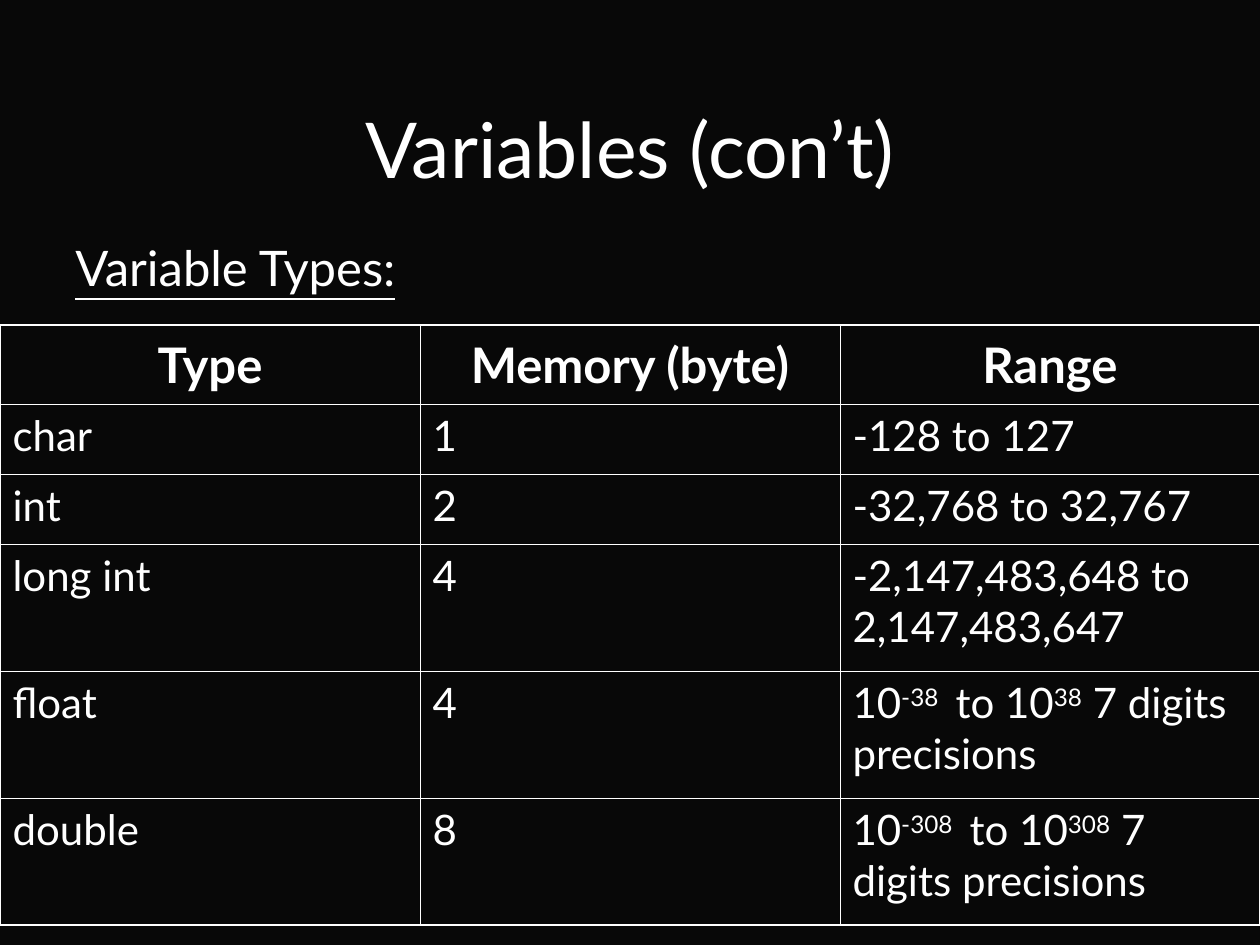
"""Build the slide of variable types with their memory sizes and ranges."""
from dataclasses import dataclass

from lxml import etree
from pptx import Presentation, util as u
from pptx.dml.color import RGBColor
from pptx.enum import text
from pptx.oxml.ns import qn

WHITE = RGBColor(0xFF, 0xFF, 0xFF)
NEAR_BLACK = RGBColor(0x08, 0x08, 0x08)
FONT = "Lato"
SCALE = 914400 / 126
OUTER, INNER = 1.08, 0.45


@dataclass(frozen=True)
class Span:
    text: str
    raised: bool = False


@dataclass(frozen=True)
class Label:
    text: str
    x: int
    y: int
    w: int
    h: int
    font: dict
    align: text.PP_ALIGN = text.PP_ALIGN.LEFT
    anchor: text.MSO_ANCHOR = text.MSO_ANCHOR.TOP


@dataclass(frozen=True)
class VariableType:
    name: str
    memory: str
    range: tuple[Span, ...]


def power_range(exponent: int) -> tuple[Span, ...]:
    """Describe a floating-point range by its power of ten."""
    return (Span("10"), Span(f"-{exponent} ", True), Span(" to 10"),
            Span(str(exponent), True), Span(" 7 digits precisions"))


LABELS = (
    Label("Variables (con’t)", 63, 53, 1134, 189, {"size": u.Pt(44)},
          text.PP_ALIGN.CENTER, text.MSO_ANCHOR.MIDDLE),
    Label("Variable Types:", 63, 231, 557, 94,
          {"size": u.Pt(28), "underline": True}),
)
HEADINGS = ("Type", "Memory (byte)", "Range")
TYPES = (
    VariableType("char", "1", (Span("-128 to 127"),)),
    VariableType("int", "2", (Span("-32,768 to 32,767"),)),
    VariableType("long int", "4", (Span("-2,147,483,648 to 2,147,483,647"),)),
    VariableType("float", "4", power_range(38)),
    VariableType("double", "8", power_range(308)),
)
TABLE_X, TABLE_Y, COLUMN_W = 0, 325, 420
ROW_HEIGHTS = (79, 70, 70, 127, 127, 127)


def px(n: int) -> u.Emu:
    """Turn pixels into EMU."""
    return u.Emu(round(n * SCALE))


def write(tf, spans: tuple[Span, ...], font: dict, align) -> None:
    """Write spans into the first paragraph of a text frame."""
    p = tf.paragraphs[0]
    p.alignment = align
    for span in spans:
        r = p.add_run()
        r.text = span.text
        for name, value in ({"name": FONT} | font).items():
            setattr(r.font, name, value)
        r.font.color.rgb = WHITE
        if span.raised:
            r._r.get_or_add_rPr().set("baseline", "30000")


def draw_label(s, label: Label) -> None:
    """Draw one text box."""
    sp = s.shapes.add_textbox(*map(px, (label.x, label.y, label.w, label.h)))
    tf = sp.text_frame
    tf.word_wrap = True
    tf.vertical_anchor = label.anchor
    write(tf, (Span(label.text),), label.font, label.align)


def set_borders(cell, widths: dict[str, float]) -> None:
    """Give each side of a cell a white line of its own width."""
    props = cell._tc.get_or_add_tcPr()
    for i, (side, width) in enumerate(widths.items()):
        ln = etree.Element(qn(f"a:ln{side}"), w=str(u.Pt(width)))
        fill = etree.SubElement(ln, qn("a:solidFill"))
        etree.SubElement(fill, qn("a:srgbClr"), val=str(WHITE))
        props.insert(i, ln)


def draw_table(s) -> None:
    """Draw the table of variable types."""
    rows = [tuple((Span(h),) for h in HEADINGS)]
    rows += [((Span(t.name),), (Span(t.memory),), t.range) for t in TYPES]
    last_row, last_col = len(rows) - 1, len(HEADINGS) - 1
    table = s.shapes.add_table(
        len(rows), len(HEADINGS), px(TABLE_X), px(TABLE_Y),
        px(COLUMN_W * len(HEADINGS)), px(sum(ROW_HEIGHTS))).table
    table.first_row = table.horz_banding = False
    for column in table.columns:
        column.width = px(COLUMN_W)
    for i, (row, height) in enumerate(zip(rows, ROW_HEIGHTS)):
        table.rows[i].height = px(height)
        if i == 0:
            font = {"size": u.Pt(28), "bold": True}
            align, anchor = text.PP_ALIGN.CENTER, text.MSO_ANCHOR.MIDDLE
        else:
            font = {"size": u.Pt(24), "bold": False}
            align, anchor = text.PP_ALIGN.LEFT, text.MSO_ANCHOR.TOP
        for j, spans in enumerate(row):
            cell = table.cell(i, j)
            cell.fill.background()
            cell.vertical_anchor = anchor
            write(cell.text_frame, spans, font, align)
            edges = {"L": j == 0, "R": j == last_col,
                     "T": i == 0, "B": i == last_row}
            set_borders(cell, {side: OUTER if edge else INNER
                               for side, edge in edges.items()})


def main() -> None:
    """Build and save the presentation."""
    prs = Presentation()
    prs.slide_width, prs.slide_height = px(1260), px(945)
    s = prs.slides.add_slide(prs.slide_layouts[6])
    s.background.fill.solid()
    s.background.fill.fore_color.rgb = NEAR_BLACK
    for label in LABELS:
        draw_label(s, label)
    draw_table(s)
    prs.save("out.pptx")


if __name__ == "__main__":
    main()
